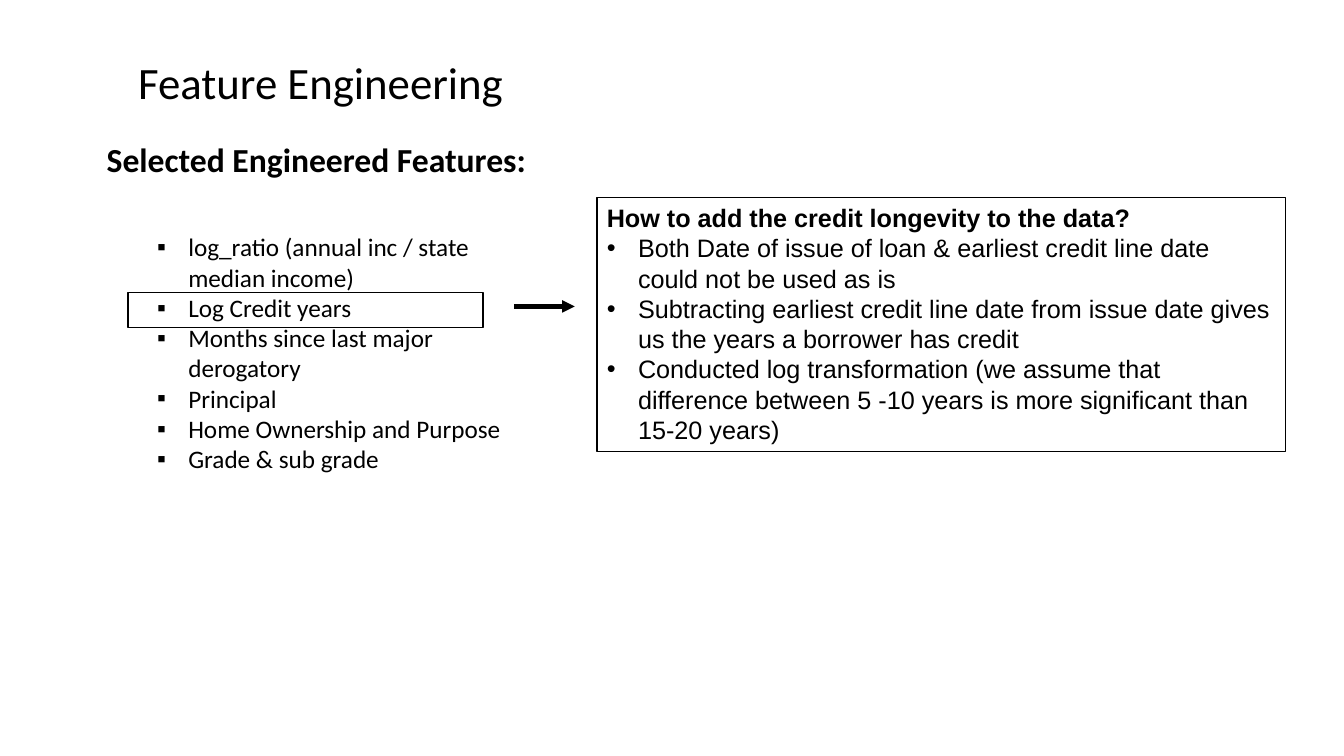
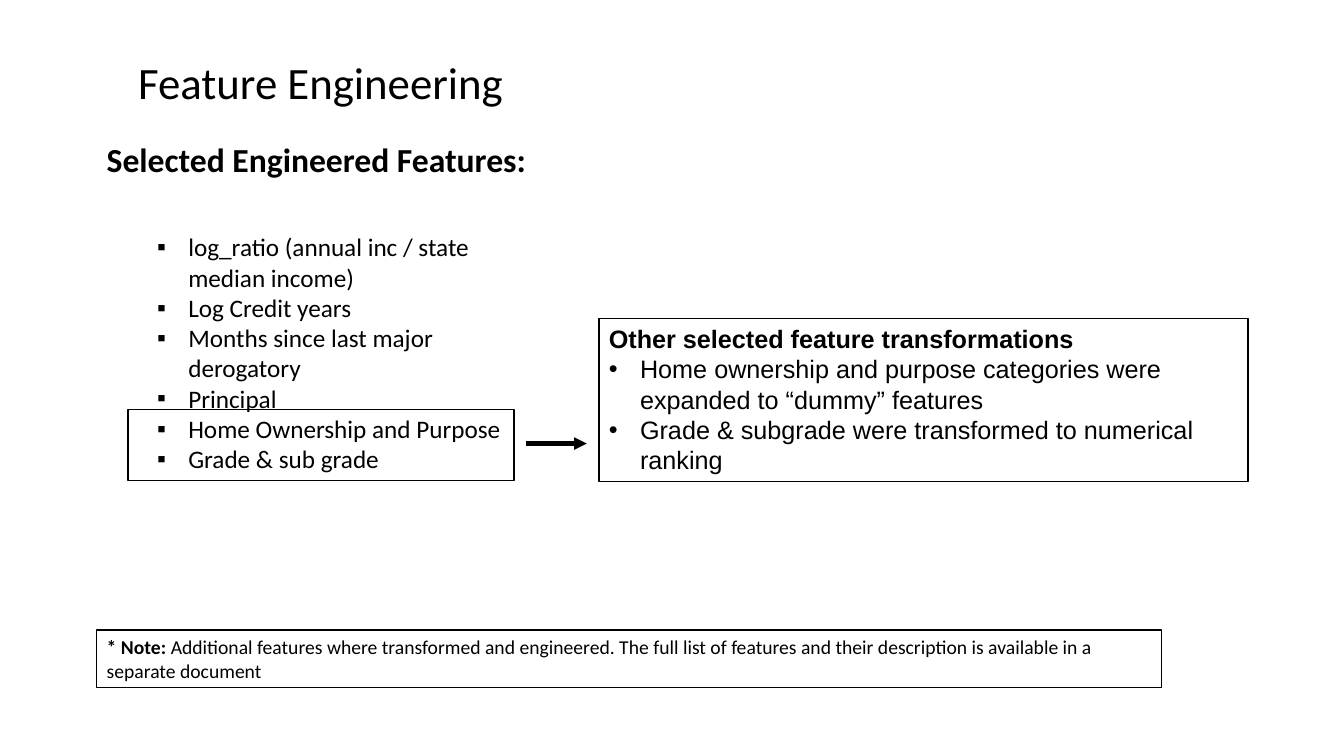
from lxml import etree
from pptx import Presentation
from pptx import util as u
from pptx.dml.color import RGBColor
from pptx.enum import shapes, text
from pptx.oxml.ns import qn

PX = 9144  # EMU; 100 px make an inch
COLORS = {"ink": "000000", "paper": "FFFFFF"}
SLIDE_SIZE = (1333, 750)
TITLE_BOX = (127, 49, 1078, 118)
SUBTITLE_BOX = (96, 133, 507, 50)
FEATURES_BOX = (96, 225, 414, 252)
HANGING = 31
ARROW_LENGTH = 60
LINE_SPACING = 1.2

TITLE = "Feature Engineering"
SUBTITLE = "Selected Engineered Features:"
FEATURES = [
    "log_ratio (annual inc / state median income)",
    "Log Credit years",
    "Months since last major derogatory",
    "Principal",
    "Home Ownership and Purpose",
    "Grade & sub grade",
]
SLIDES = [
    {
        "highlight": (127, 290, 352, 35),
        "arrow_start": (510, 304),
        "panel": (592, 196, 683, 252),
        "heading": "How to add the credit longevity to the data?",
        "points": [
            "Both Date of issue of loan & earliest credit line date could not be used as is",
            "Subtracting earliest credit line date from issue date gives us the years a borrower has credit",
            "Conducted log transformation (we assume that difference between 5 -10 years "
            "is more significant than 15-20 years)",
        ],
    },
    {
        "highlight": (127, 406, 383, 71),
        "arrow_start": (522, 440),
        "panel": (594, 316, 644, 162),
        "heading": "Other selected feature transformations",
        "points": [
            "Home ownership and purpose categories were expanded to “dummy” features",
            "Grade & subgrade were transformed to numerical ranking",
        ],
        "note_box": (96, 625, 1056, 57),
        "note": (
            "* Note: ",
            "Additional features where transformed and engineered. The full list of features "
            "and their description is available in a separate document",
        ),
    },
]


def emu(lengths):
    return [u.Emu(length * PX) for length in lengths]


def color(name):
    return RGBColor.from_string(COLORS[name])


def prepare(frame):
    frame.word_wrap = True
    frame.auto_size = text.MSO_AUTO_SIZE.NONE
    frame.vertical_anchor = text.MSO_ANCHOR.TOP
    return frame


def write(frame, words, size=18, font="Calibri", bold=False, bullet=None, indent=HANGING, join=False):
    """Add words as a new paragraph, or to the last paragraph if join is set."""
    paragraph = frame.paragraphs[-1]
    if paragraph.runs and not join:
        paragraph = frame.add_paragraph()
    paragraph.alignment = text.PP_ALIGN.LEFT
    paragraph.line_spacing = u.Pt(size * LINE_SPACING)
    run = paragraph.add_run()
    run.text = words
    run.font.name = font
    run.font.size = u.Pt(size)
    run.font.bold = bold
    run.font.color.rgb = color("ink")
    if bullet:
        properties = paragraph._p.get_or_add_pPr()
        properties.set("marL", str(indent * PX))
        properties.set("indent", str(-HANGING * PX))
        etree.SubElement(properties, qn("a:buFont")).set("typeface", "Arial")
        etree.SubElement(properties, qn("a:buChar")).set("char", bullet)


def add_text_box(slide, box):
    return prepare(slide.shapes.add_textbox(*emu(box)).text_frame)


def add_box(slide, box, filled=True):
    """Draw a thin black rectangle and return its text frame."""
    rectangle = slide.shapes.add_shape(shapes.MSO_SHAPE.RECTANGLE, *emu(box))
    rectangle.shadow.inherit = False
    rectangle.line.color.rgb = color("ink")
    rectangle.line.width = u.Pt(1)
    if filled:
        rectangle.fill.solid()
        rectangle.fill.fore_color.rgb = color("paper")
    else:
        rectangle.fill.background()
    return prepare(rectangle.text_frame)


def add_arrow(slide, start):
    x, y = start
    arrow = slide.shapes.add_connector(
        shapes.MSO_CONNECTOR.STRAIGHT, *emu((x, y, x + ARROW_LENGTH, y)))
    arrow.line.color.rgb = color("ink")
    arrow.line.width = u.Pt(3)
    etree.SubElement(arrow.line._get_or_add_ln(), qn("a:tailEnd")).set("type", "triangle")
    etree.SubElement(arrow._element.spPr, qn("a:effectLst"))


def add_feature_slide(deck, content):
    slide = deck.slides.add_slide(deck.slide_layouts[5])
    title = slide.shapes.title
    title.left, title.top, title.width, title.height = emu(TITLE_BOX)
    write(prepare(title.text_frame), TITLE, size=32)
    write(add_text_box(slide, SUBTITLE_BOX), SUBTITLE, size=24, bold=True)

    add_box(slide, content["highlight"], filled=False)
    features = add_text_box(slide, FEATURES_BOX)
    for feature in FEATURES:
        write(features, feature, bullet="▪", indent=81)

    add_arrow(slide, content["arrow_start"])
    panel = add_box(slide, content["panel"])
    write(panel, content["heading"], font="Arial", bold=True)
    for point in content["points"]:
        write(panel, point, font="Arial", bullet="•")

    if "note" in content:
        label, body = content["note"]
        note = add_box(slide, content["note_box"])
        write(note, label, size=14, bold=True)
        write(note, body, size=14, join=True)


def main():
    deck = Presentation()
    deck.slide_width, deck.slide_height = emu(SLIDE_SIZE)
    for content in SLIDES:
        add_feature_slide(deck, content)
    deck.save("out.pptx")


if __name__ == "__main__":
    main()
